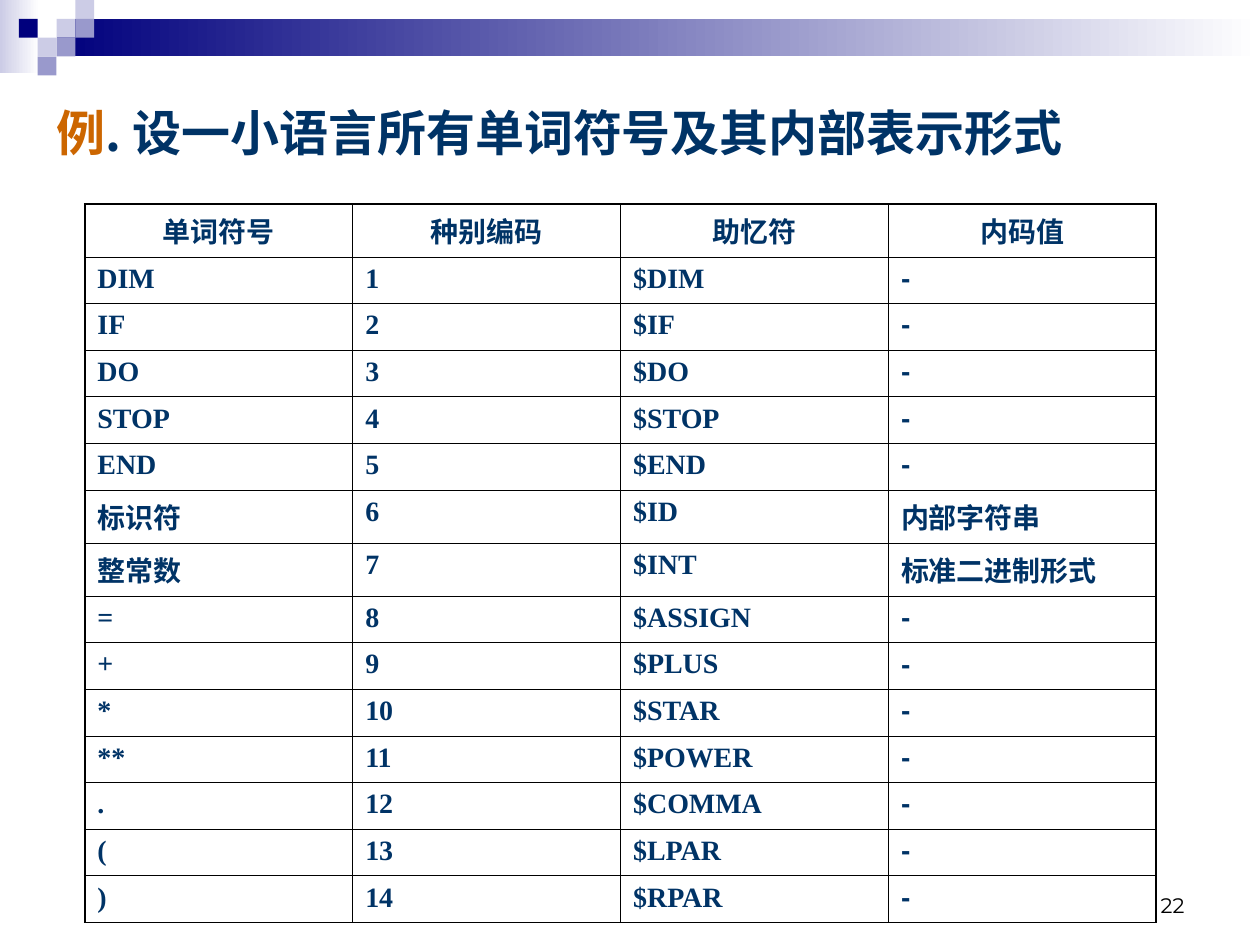
from dataclasses import dataclass
from lxml.etree import SubElement
from pptx import Presentation
from pptx.dml.color import RGBColor
from pptx.enum.shapes import MSO_SHAPE
from pptx.enum.text import MSO_ANCHOR, PP_ALIGN
from pptx.oxml.ns import qn
from pptx.util import Cm, Pt


@dataclass(frozen=True)
class Theme:
    navy: str = "00007D"
    lavender: str = "CCCCE6"
    periwinkle: str = "9999CC"
    white: str = "FFFFFF"
    black: str = "000000"
    ink: str = "003366"
    accent: str = "CC6600"
    chinese: str = "Noto Sans CJK SC"
    latin: str = "Times New Roman"
    plain: str = "Arial"
    footer: str = "Montserrat"
    title_size: int = 28
    body_size: int = 16
    footer_size: int = 12
    outer_line: float = 1.08
    inner_line: float = 0.45


THEME = Theme()

HEADER = ["单词符号", "种别编码", "助忆符", "内码值"]
TOKENS = [
    ("DIM", "$DIM", "-"),
    ("IF", "$IF", "-"),
    ("DO", "$DO", "-"),
    ("STOP", "$STOP", "-"),
    ("END", "$END", "-"),
    ("标识符", "$ID", "内部字符串"),
    ("整常数", "$INT", "标准二进制形式"),
    ("=", "$ASSIGN", "-"),
    ("+", "$PLUS", "-"),
    ("*", "$STAR", "-"),
    ("**", "$POWER", "-"),
    (".", "$COMMA", "-"),
    ("(", "$LPAR", "-"),
    (")", "$RPAR", "-"),
]


def apply_format(target, values):
    for name, value in values.items():
        setattr(target, name, value)


def add_span(para, text, color, **font_values):
    span = para.add_run()
    span.text = text
    apply_format(span.font, font_values)
    span.font.color.rgb = RGBColor.from_string(color)
    SubElement(span.font._element, qn("a:ea"), typeface=THEME.chinese)


def add_block(page, left, top, width, height, colors):
    block = page.shapes.add_shape(
        MSO_SHAPE.RECTANGLE, Cm(left), Cm(top), Cm(width), Cm(height))
    block.shadow.inherit = False
    block.line.fill.background()
    if len(colors) == 1:
        block.fill.solid()
        block.fill.fore_color.rgb = RGBColor.from_string(colors[0])
        return
    block.fill.gradient()
    block.fill.gradient_angle = 0
    for stop, color in zip(block.fill.gradient_stops, colors):
        stop.color.rgb = RGBColor.from_string(color)


def add_banner(page, left, top, width, tile):
    add_block(page, left, top, 0.79, 1.47, (THEME.lavender, THEME.white))
    add_block(page, left + 3 * tile, top + tile, width - 3 * tile, 2 * tile,
              (THEME.navy, THEME.white))
    mosaic = [
        (3, 1, THEME.lavender),
        (4, 0, THEME.lavender),
        (4, 1, THEME.periwinkle),
        (2, 2, THEME.lavender),
        (1, 1, THEME.navy),
        (3, 2, THEME.periwinkle),
        (2, 3, THEME.periwinkle),
    ]
    for column, row, color in mosaic:
        add_block(page, left + column * tile, top + row * tile, tile, tile, (color,))


def place_title(page, left, top, width, height):
    title = page.shapes.title
    apply_format(title, {"left": Cm(left), "top": Cm(top),
                         "width": Cm(width), "height": Cm(height)})
    apply_format(title.text_frame, {"vertical_anchor": MSO_ANCHOR.MIDDLE,
                                    "word_wrap": True})
    para = title.text_frame.paragraphs[0]
    para.alignment = PP_ALIGN.LEFT
    for text, color in [("例", THEME.accent),
                        (". 设一小语言所有单词符号及其内部表示形式", THEME.ink)]:
        add_span(para, text, color, name=THEME.chinese,
                 size=Pt(THEME.title_size), bold=True)


def set_borders(cell, outer_sides):
    properties = cell._tc.get_or_add_tcPr()
    for position, side in enumerate(("L", "R", "T", "B")):
        weight = THEME.outer_line if side in outer_sides else THEME.inner_line
        line = properties.makeelement(qn(f"a:ln{side}"), {"w": str(int(Pt(weight)))})
        fill = SubElement(line, qn("a:solidFill"))
        SubElement(fill, qn("a:srgbClr"), val=THEME.black)
        properties.insert(position, line)


def add_token_table(page, left, top, width, header_height, row_height):
    rows = [HEADER] + [
        (symbol, str(code), mnemonic, value)
        for code, (symbol, mnemonic, value) in enumerate(TOKENS, 1)
    ]
    last_row, last_column = len(rows) - 1, len(HEADER) - 1
    height = header_height + last_row * row_height
    table = page.shapes.add_table(
        len(rows), len(HEADER), Cm(left), Cm(top), Cm(width), Cm(height)).table
    apply_format(table, {"first_row": False, "horz_banding": False})
    for column in table.columns:
        column.width = Cm(width / len(HEADER))
    for row_index, texts in enumerate(rows):
        table.rows[row_index].height = Cm(row_height if row_index else header_height)
        for column_index, text in enumerate(texts):
            cell = table.cell(row_index, column_index)
            cell.fill.background()
            edges = {"L": column_index == 0, "R": column_index == last_column,
                     "T": row_index == 0, "B": row_index == last_row}
            set_borders(cell, {side for side, outer in edges.items() if outer})
            para = cell.text_frame.paragraphs[0]
            para.alignment = PP_ALIGN.LEFT if row_index else PP_ALIGN.CENTER
            plain = row_index == 0 or column_index == last_column or not text.isascii()
            add_span(para, text, THEME.ink, size=Pt(THEME.body_size), bold=True,
                     name=THEME.plain if plain else THEME.latin)


def add_page_number(page, left, top, width, height, number):
    box = page.shapes.add_textbox(Cm(left), Cm(top), Cm(width), Cm(height))
    apply_format(box.text_frame, {"word_wrap": True,
                                  "vertical_anchor": MSO_ANCHOR.BOTTOM})
    para = box.text_frame.paragraphs[0]
    para.alignment = PP_ALIGN.RIGHT
    add_span(para, number, THEME.black, name=THEME.footer, size=Pt(THEME.footer_size))


def main():
    deck = Presentation()
    apply_format(deck, {"slide_width": Cm(25.4), "slide_height": Cm(19.05)})
    page = deck.slides.add_slide(deck.slide_layouts[5])
    add_banner(page, 0, 0, 25.4, 0.38)
    place_title(page, 0.89, 1.93, 22.6, 1.47)
    add_token_table(page, 1.71, 4.11, 21.6, 0.69, 0.94)
    add_page_number(page, 18.21, 17.35, 5.92, 1.27, "22")
    deck.save("out.pptx")


if __name__ == "__main__":
    main()
